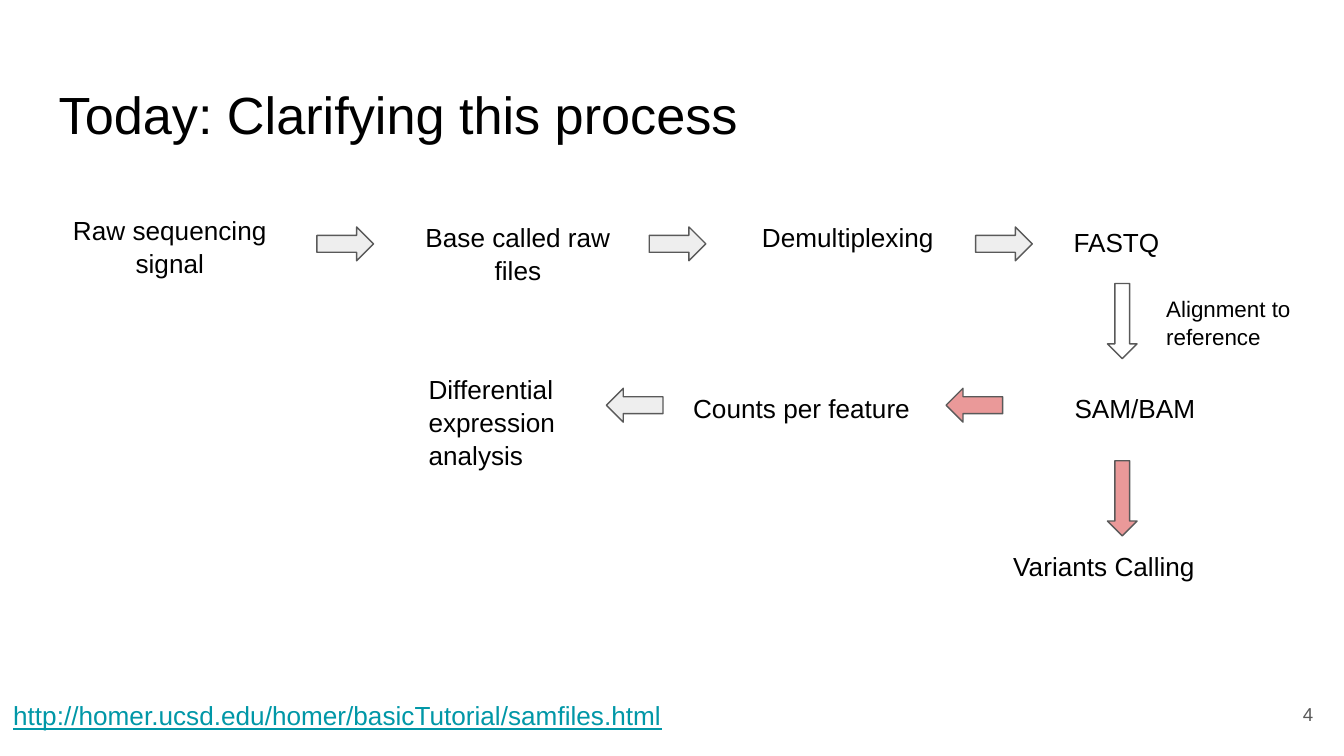
from pptx import Presentation
from pptx.dml.color import RGBColor
from pptx.enum.shapes import MSO_SHAPE
from pptx.enum.text import MSO_ANCHOR, PP_ALIGN
from pptx.util import Cm, Pt

LEFT, CENTER, RIGHT = PP_ALIGN.LEFT, PP_ALIGN.CENTER, PP_ALIGN.RIGHT
TOP, MIDDLE = MSO_ANCHOR.TOP, MSO_ANCHOR.MIDDLE
RIGHT_ARROW, LEFT_ARROW, DOWN_ARROW = (
    MSO_SHAPE.RIGHT_ARROW, MSO_SHAPE.LEFT_ARROW, MSO_SHAPE.DOWN_ARROW)
BLACK, GRAY, TEAL = "000000", "595959", "0097A7"
PALE, RED = "EEEEEE", "EA9999"


def rgb(value):
    return RGBColor.from_string(value)


def add_text(text, x, y, w, h, size=14, color=BLACK, align=LEFT,
             anchor=TOP, underline=False):
    tf = s.shapes.add_textbox(Cm(x), Cm(y), Cm(w), Cm(h)).text_frame
    tf.word_wrap = True
    tf.vertical_anchor = anchor
    tf.margin_left = tf.margin_right = Cm(0.25)
    tf.margin_top = tf.margin_bottom = Cm(0.25)
    p = tf.paragraphs[0]
    p.alignment = align
    p.line_spacing = 1.05
    r = p.add_run()
    r.text = text
    r.font.name = "Arial"
    r.font.size = Pt(size)
    r.font.color.rgb = rgb(color)
    r.font.underline = underline


prs = Presentation()
prs.slide_width, prs.slide_height = Cm(25.4), Cm(14.29)
s = prs.slides.add_slide(prs.slide_layouts[6])

add_text("Today: Clarifying this process", 0.86, 1.24, 23.67, 1.6, size=28)

steps = [
    ("Raw sequencing signal", 0.86, 3.78, 4.7, 1.14, CENTER),
    ("Base called raw files", 7.44, 3.91, 4.7, 1.14, CENTER),
    ("Demultiplexing", 14.15, 3.91, 3.76, 1.14, LEFT),
    ("FASTQ", 20.04, 4.01, 2.44, 1.04, LEFT),
    ("SAM/BAM", 19.1, 7.14, 4.7, 1.04, CENTER),
    ("Counts per feature", 12.85, 7.14, 4.7, 1.04, LEFT),
    ("Variants Calling", 18.9, 10.13, 4.7, 1.04, LEFT),
    ("Differential expression analysis", 7.85, 6.78, 3.07, 2.31, LEFT),
]
for text, x, y, w, h, align in steps:
    add_text(text, x, y, w, h, align=align)

arrows = [
    (RIGHT_ARROW, 5.99, 4.29, PALE),
    (RIGHT_ARROW, 12.27, 4.29, PALE),
    (RIGHT_ARROW, 18.44, 4.29, PALE),
    (DOWN_ARROW, 20.93, 5.36, None),
    (DOWN_ARROW, 20.93, 8.71, RED),
    (LEFT_ARROW, 17.88, 7.34, RED),
    (LEFT_ARROW, 11.46, 7.34, PALE),
]
for kind, x, y, fill in arrows:
    w, h = (0.56, 1.42) if kind == DOWN_ARROW else (1.07, 0.64)
    sp = s.shapes.add_shape(kind, Cm(x), Cm(y), Cm(w), Cm(h))
    sp.shadow.inherit = False
    if fill:
        sp.fill.solid()
        sp.fill.fore_color.rgb = rgb(fill)
    else:
        sp.fill.background()
    sp.line.color.rgb = rgb(GRAY)
    sp.line.width = Pt(0.75)

add_text("Alignment to reference", 21.79, 5.31, 3.07, 1.6, size=12)
add_text("4", 23.55, 12.95, 1.52, 1.09, size=10, color=GRAY, align=RIGHT,
         anchor=MIDDLE)
add_text("http://homer.ucsd.edu/homer/basicTutorial/samfiles.html",
         0, 12.95, 18.08, 1.09, color=TEAL, underline=True)

prs.save("out.pptx")
